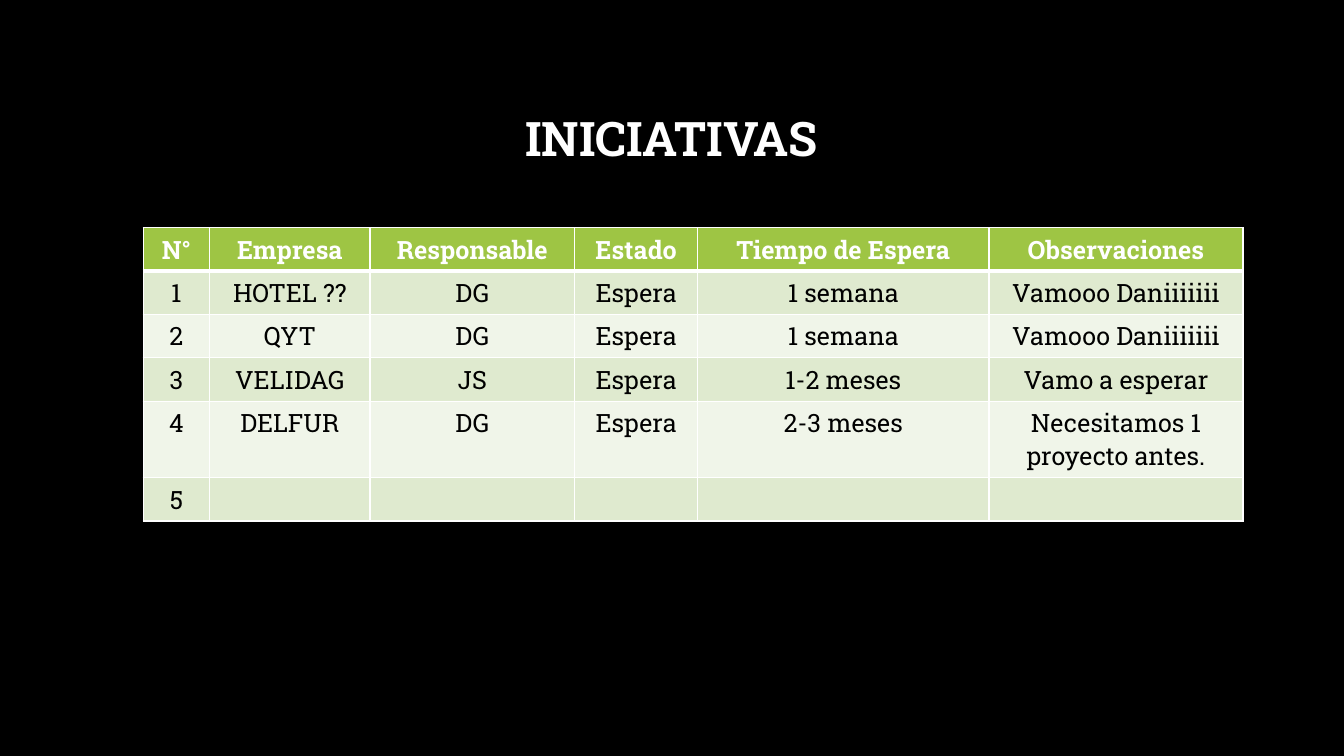
from pptx import Presentation
from pptx.dml.color import RGBColor as RGB
from pptx.enum.text import MSO_ANCHOR as Anchor, PP_ALIGN as Align
from pptx.util import Inches, Pt
from lxml.etree import SubElement as Sub
from pptx.oxml.ns import qn

# Content
TITLE = "INICIATIVAS"
ROWS = [
    ("N°", "Empresa", "Responsable", "Estado", "Tiempo de Espera", "Observaciones"),
    ("1", "HOTEL ??", "DG", "Espera", "1 semana", "Vamooo Daniiiiiii"),
    ("2", "QYT", "DG", "Espera", "1 semana", "Vamooo Daniiiiiii"),
    ("3", "VELIDAG", "JS", "Espera", "1-2 meses", "Vamo a esperar"),
    ("4", "DELFUR", "DG", "Espera", "2-3 meses", "Necesitamos 1 proyecto antes."),
    ("5", "", "", "", "", ""),
]
WIDTHS = [0.66, 1.59, 2.03, 1.22, 2.89, 2.52]
HIGH, TALL, TALL_ROW = 0.43, 0.76, 4
COLORS = {"back": "000000", "white": "FFFFFF", "black": "000000",
          "head": "9EC544", "odd": "DFEACF", "even": "F0F5E9"}
FONT = "Roboto Slab"
HEAD = {"name": FONT, "size": Pt(18), "bold": True}
BODY = {**HEAD, "bold": False}
BIG = {**HEAD, "size": Pt(34)}


def color(name):
    return RGB.from_string(COLORS[name])


def write(frame, text, style, ink):
    par = frame.paragraphs[0]
    par.alignment = Align.CENTER
    if text:
        run = par.add_run()
        run.text = text
        for key, value in style.items():
            setattr(run.font, key, value)
        run.font.color.rgb = color(ink)
    return par


def border(cell, row):
    props = cell._tc.get_or_add_tcPr()
    thick = {"T": 3 if row == 1 else 1, "B": 3 if row == 0 else 1}
    for side in "LRTB":
        line = Sub(props, qn(f"a:ln{side}"), w=str(Pt(thick.get(side, 1))))
        Sub(Sub(line, qn("a:solidFill")), qn("a:srgbClr"), val=COLORS["white"])


# Slide
deck = Presentation()
deck.slide_width, deck.slide_height = Inches(13.33), Inches(7.5)
slide = deck.slides.add_slide(deck.slide_layouts[6])
slide.background.fill.solid()
slide.background.fill.fore_color.rgb = color("back")

# Title
box = slide.shapes.add_textbox(Inches(1), Inches(0.67), Inches(11.32), Inches(1.45))
frame = box.text_frame
frame.word_wrap = True
frame.vertical_anchor = Anchor.MIDDLE
write(frame, TITLE, BIG, "white").line_spacing = 0.9

# Table
highs = [TALL if r == TALL_ROW else HIGH for r in range(len(ROWS))]
table = slide.shapes.add_table(len(ROWS), len(WIDTHS), Inches(1.42), Inches(2.26),
                               Inches(sum(WIDTHS)), Inches(sum(highs))).table
for col, width in zip(table.columns, WIDTHS):
    col.width = Inches(width)
for r, texts in enumerate(ROWS):
    table.rows[r].height = Inches(highs[r])
    style, ink = (BODY, "black") if r else (HEAD, "white")
    fill = ("odd" if r % 2 else "even") if r else "head"
    for c, text in enumerate(texts):
        cell = table.cell(r, c)
        write(cell.text_frame, text, style, ink)
        border(cell, r)
        cell.fill.solid()
        cell.fill.fore_color.rgb = color(fill)

deck.save("out.pptx")
